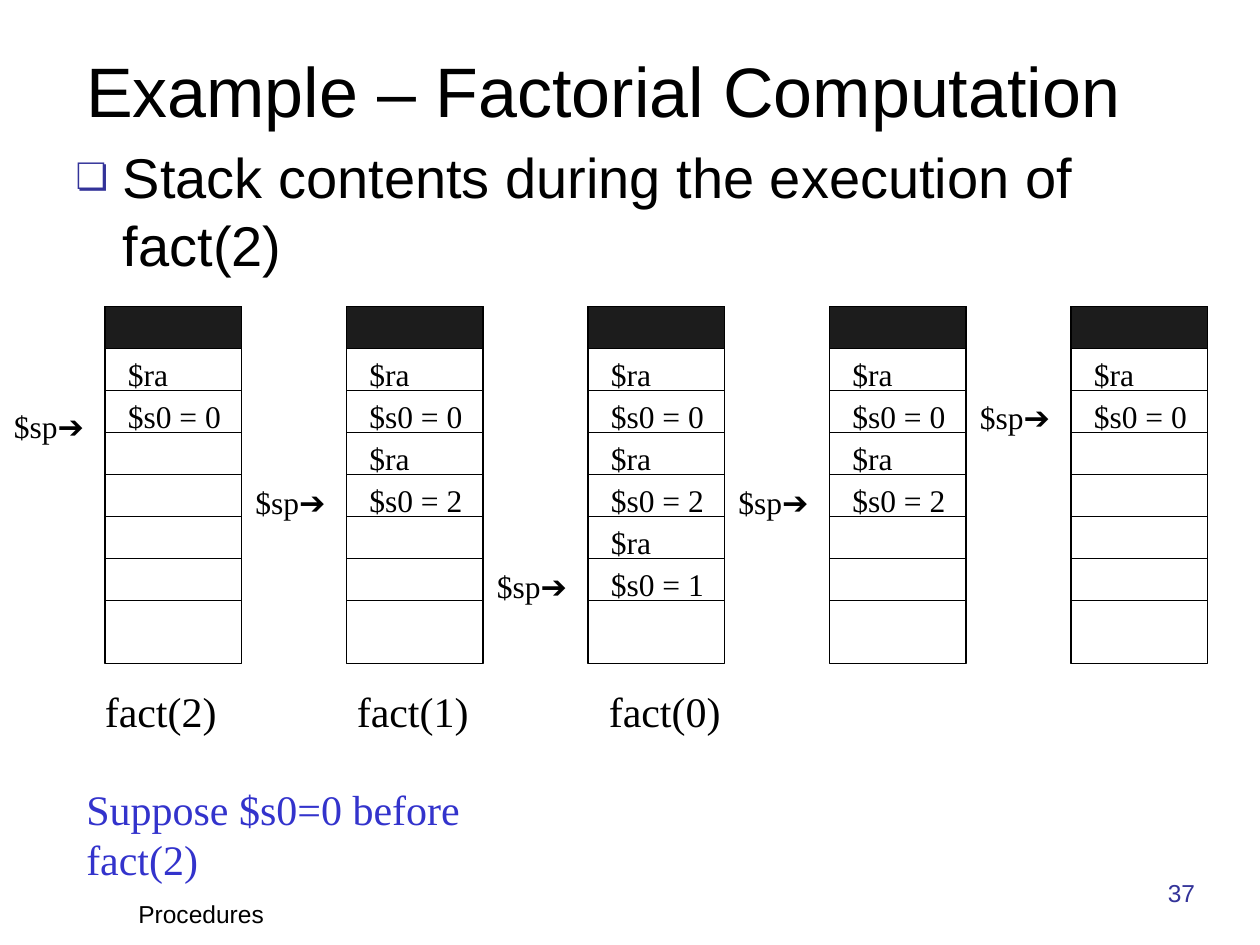
from lxml import etree
from pptx import Presentation
from pptx.dml.color import RGBColor
from pptx.enum.shapes import MSO_CONNECTOR, MSO_SHAPE
from pptx.enum.text import MSO_ANCHOR, MSO_AUTO_SIZE, PP_ALIGN
from pptx.oxml.ns import qn
from pptx.util import Pt

LEFT, RIGHT = PP_ALIGN.LEFT, PP_ALIGN.RIGHT
TOP, BOTTOM = MSO_ANCHOR.TOP, MSO_ANCHOR.BOTTOM
NO_FIT, GROW = MSO_AUTO_SIZE.NONE, MSO_AUTO_SIZE.SHAPE_TO_FIT_TEXT
RECTANGLE, STRAIGHT = MSO_SHAPE.RECTANGLE, MSO_CONNECTOR.STRAIGHT

COLORS = {
    "ink": "000000",
    "used": "1C1C1C",
    "accent": "333399",
    "note": "3333CC",
}
SANS, SERIF = "Arial", "Times New Roman"

STACK_LEFT, STACK_TOP, STACK_STEP = 60, 175.2, 138
STACK_WIDTH, STACK_HEIGHT, ROW_HEIGHT, ROW_LINES = 78, 204, 24, 7

FRAMES = ["$ra", "$s0 = 0", "$ra", "$s0 = 2", "$ra", "$s0 = 1"]
STACKS = [(2, 229), (4, 272.2), (6, 320.2), (4, 272.2), (2, 224.2)]


class SlideBuilder:
    def __init__(self, slide):
        self.slide = slide

    def color(self, name):
        return RGBColor.from_string(COLORS[name])

    def add_run(self, paragraph, text, size, font, color="ink"):
        run = paragraph.add_run()
        run.text = text
        run.font.size = Pt(size)
        run.font.name = font
        run.font.color.rgb = self.color(color)

    def placeholder(self, index, box, text, size, anchor):
        holder = self.slide.placeholders[index]
        holder.left, holder.top, holder.width, holder.height = map(Pt, box)
        frame = holder.text_frame
        frame.auto_size = NO_FIT
        frame.vertical_anchor = anchor
        paragraph = frame.paragraphs[0]
        paragraph.alignment = LEFT
        paragraph.space_before = Pt(0)
        self.add_run(paragraph, text, size, SANS)
        return paragraph

    def bullet(self, paragraph, symbol, indent):
        properties = paragraph._p.get_or_add_pPr()
        properties.set("marL", str(Pt(indent)))
        properties.set("indent", str(-Pt(indent)))
        color = etree.SubElement(properties, qn("a:buClr"))
        etree.SubElement(color, qn("a:srgbClr"), val=COLORS["accent"])
        etree.SubElement(properties, qn("a:buSzPct"), val="65000")
        etree.SubElement(properties, qn("a:buChar"), char=symbol)

    def tab_stops(self, paragraph, step, count):
        properties = paragraph._p.get_or_add_pPr()
        stops = etree.SubElement(properties, qn("a:tabLst"))
        for number in range(1, count + 1):
            etree.SubElement(stops, qn("a:tab"), pos=str(Pt(step * number)), algn="l")

    def label(self, box, runs, size, color="ink", wrap=False, anchor=TOP, align=LEFT):
        frame = self.slide.shapes.add_textbox(*map(Pt, box)).text_frame
        frame.word_wrap = wrap
        frame.auto_size = NO_FIT if wrap else GROW
        frame.vertical_anchor = anchor
        paragraph = frame.paragraphs[0]
        paragraph.alignment = align
        for text, font in runs:
            self.add_run(paragraph, text, size, font, color)
        return paragraph

    def rectangle(self, box, fill=None):
        shape = self.slide.shapes.add_shape(RECTANGLE, *map(Pt, box))
        shape.shadow.inherit = False
        if fill:
            shape.fill.solid()
            shape.fill.fore_color.rgb = self.color(fill)
        else:
            shape.fill.background()
        shape.line.color.rgb = self.color("ink")
        shape.line.width = Pt(0.75)

    def row_line(self, left, y, width):
        line = self.slide.shapes.add_connector(
            STRAIGHT, Pt(left), Pt(y), Pt(left + width), Pt(y))
        line.line.color.rgb = self.color("ink")
        line.line.width = Pt(0.75)
        etree.SubElement(line._element.spPr, qn("a:effectLst"))

    def stack(self, left, entries, pointer_top):
        self.rectangle((left, STACK_TOP, STACK_WIDTH, STACK_HEIGHT))
        self.rectangle((left, STACK_TOP, STACK_WIDTH, ROW_HEIGHT), "used")
        for row in range(1, ROW_LINES + 1):
            self.row_line(left, STACK_TOP + row * ROW_HEIGHT, STACK_WIDTH)
        for row, entry in enumerate(entries, 1):
            width = 37.5 if entry == "$ra" else 67.5
            top = STACK_TOP + row * ROW_HEIGHT
            self.label((left + 6, top, width, 28.8), [(entry, SERIF)], 18)
        self.label((left - 59.2, pointer_top, 57, 28.8),
                   [("$sp", SERIF), ("➔", SANS)], 18)


def main():
    presentation = Presentation()
    presentation.slide_width, presentation.slide_height = Pt(720), Pt(540)
    builder = SlideBuilder(
        presentation.slides.add_slide(presentation.slide_layouts[1]))

    builder.placeholder(0, (42, 43, 642, 35.5),
                        "Example – Factorial Computation", 40, BOTTOM)
    topic = builder.placeholder(1, (36, 78, 654, 420),
                                "Stack contents during the execution of fact(2)", 32, TOP)
    builder.bullet(topic, "❏", 27)

    for column, (depth, pointer_top) in enumerate(STACKS):
        builder.stack(STACK_LEFT + column * STACK_STEP, FRAMES[:depth], pointer_top)

    calls = builder.label((52.8, 388, 366.5, 36),
                          [("fact(2)\t\tfact(1)\t\tfact(0)", SERIF)], 24)
    builder.tab_stops(calls, 72, 7)
    builder.label((42.2, 444, 297.5, 36),
                  [("Suppose $s0=0 before fact(2)", SERIF)], 24, "note")
    builder.label((72, 510, 150, 24), [("Procedures", SANS)], 14,
                  wrap=True, anchor=BOTTOM)
    builder.label((600, 498, 90, 24), [("37", SANS)], 14, "accent",
                  wrap=True, anchor=BOTTOM, align=RIGHT)

    presentation.save("out.pptx")


if __name__ == "__main__":
    main()
